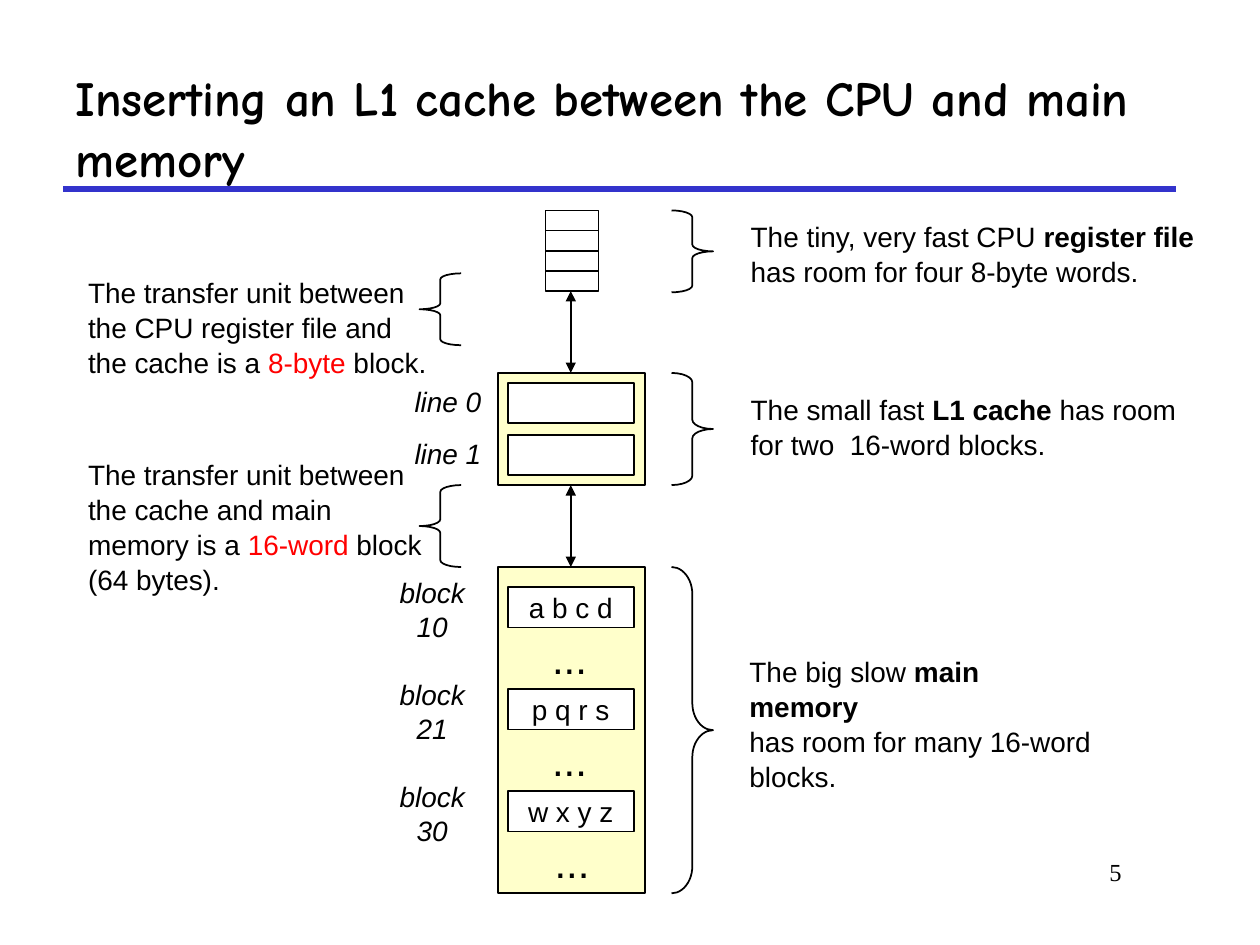
"""Build a slide on inserting an L1 cache between the CPU and main memory."""
import pptx
import pptx.dml.color
import pptx.enum.shapes
import pptx.enum.text
import pptx.oxml
import pptx.oxml.ns
import pptx.util

Inches = pptx.util.Inches
Pt = pptx.util.Pt
SHAPES = pptx.enum.shapes.MSO_SHAPE
ALIGN = pptx.enum.text.PP_ALIGN
ANCHOR = pptx.enum.text.MSO_ANCHOR
COLORS = {"ink": "000000", "rule": "3333CC", "store": "FFFF99", "cell": "FFFFFF", "accent": "FF0000"}
AXIS = 4.53
BLOCK_STEP = 0.81

NOTES = [
    (5.86, 1.69, 3.8, 0.64, [
        [("The tiny, very fast CPU ", ""), ("register file", "bold")],
        [("has room for four 8-byte words.", "")]]),
    (5.86, 3.06, 3.6, 0.64, [
        [("The small fast ", ""), ("L1 cache ", "bold"), ("has room", "")],
        [("for two  16-word blocks.", "")]]),
    (5.85, 5.29, 2.94, 0.9, [
        [("The big slow ", ""), ("main memory", "bold")],
        [("has room for many 16-word", "")],
        [("blocks.", "")]]),
    (0.6, 2.14, 2.95, 0.9, [
        [("The transfer unit between", "")],
        [("the CPU register file and", "")],
        [("the cache is a ", ""), ("8-byte", "accent"), (" block.", "")]]),
    (0.6, 3.59, 2.95, 1.17, [
        [("The transfer unit between", "")],
        [("the cache and main", "")],
        [("memory is a ", ""), ("16-word", "accent"), (" block", "")],
        [("(64 bytes).", "")]]),
]


def rgb(name):
    """Return the named colour."""
    return pptx.dml.color.RGBColor.from_string(COLORS[name])


def style_font(font, size, name="Arial", color="ink", bold=False, italic=False):
    """Set all the font properties of a run."""
    font.size, font.name, font.bold, font.italic = Pt(size), name, bold, italic
    font.color.rgb = rgb(color)


def write_line(frame, text, size, align=ALIGN.CENTER, anchor=ANCHOR.MIDDLE, wrap=False, **style):
    """Put one formatted paragraph in a text frame."""
    frame.text = text
    frame.word_wrap, frame.vertical_anchor = wrap, anchor
    para = frame.paragraphs[0]
    para.alignment = align
    style_font(para.runs[0].font, size, **style)
    return para


def add_label(page, left, top, width, height, text, size, **style):
    """Add a text box with one line of text."""
    box = page.shapes.add_textbox(Inches(left), Inches(top), Inches(width), Inches(height))
    return write_line(box.text_frame, text, size, **style)


def add_note(page, left, top, width, height, lines):
    """Add an explanation whose lines hold plain, bold or accented spans."""
    box = page.shapes.add_textbox(Inches(left), Inches(top), Inches(width), Inches(height))
    frame = box.text_frame
    frame.word_wrap, frame.vertical_anchor = True, ANCHOR.MIDDLE
    for index, spans in enumerate(lines):
        para = frame.add_paragraph() if index else frame.paragraphs[0]
        para.line_spacing = 1.04
        for text, kind in spans:
            span = para.add_run()
            span.text = text
            style_font(span.font, 16, color="accent" if kind == "accent" else "ink", bold=kind == "bold")


def add_outline(page, kind, left, top, width, height, fill=None):
    """Add a thinly outlined preset shape, hollow unless a fill is given."""
    shape = page.shapes.add_shape(kind, Inches(left), Inches(top), Inches(width), Inches(height))
    shape.shadow.inherit = False
    shape.line.color.rgb, shape.line.width = rgb("ink"), Pt(1)
    if fill:
        shape.fill.solid()
        shape.fill.fore_color.rgb = rgb(fill)
    else:
        shape.fill.background()
    return shape


def add_store(page, top, height):
    """Add the half-transparent body of a memory level."""
    store = add_outline(page, SHAPES.RECTANGLE, 3.95, top, 1.17, height, "store")
    color = store.fill._xPr.find(".//" + pptx.oxml.ns.qn("a:srgbClr"))
    color.append(pptx.oxml.parse_xml(f'<a:alpha {pptx.oxml.ns.nsdecls("a")} val="50000"/>'))


def add_cell(page, top, text=""):
    """Add a white storage cell, with its content if there is any."""
    cell = add_outline(page, SHAPES.RECTANGLE, 4.03, top, 1, 0.32, "cell")
    if text:
        write_line(cell.text_frame, text, 16)


def add_brace(page, kind, left, top, height):
    """Add a brace whose curves scale with its height."""
    width = 0.33
    brace = add_outline(page, kind, left, top, width, height)
    brace.adjustments[0] = height / 12 / width


def add_line(page, start, end, color, width, arrows=False):
    """Add a straight line, with an arrowhead at both ends if asked."""
    line = page.shapes.add_connector(
        pptx.enum.shapes.MSO_CONNECTOR.STRAIGHT, *[Inches(value) for value in (*start, *end)])
    line.line.color.rgb, line.line.width = rgb(color), Pt(width)
    namespace = pptx.oxml.ns.nsdecls("a")
    if arrows:
        for end_tag in ("headEnd", "tailEnd"):
            line.line._get_or_add_ln().append(
                pptx.oxml.parse_xml(f'<a:{end_tag} {namespace} type="triangle"/>'))
    line._element.spPr.append(pptx.oxml.parse_xml(f"<a:effectLst {namespace}/>"))


def add_registers(page):
    """Add the four words of the register file."""
    for index in range(4):
        add_outline(page, SHAPES.RECTANGLE, 4.33, 1.67 + 0.16 * index, 0.42, 0.16)


def add_cache(page):
    """Add the cache with its two labelled lines."""
    add_store(page, 2.96, 0.89)
    for index in range(2):
        offset = 0.41 * index
        add_cell(page, 3.04 + offset)
        add_label(page, 3.19, 3 + offset, 0.73, 0.37, f"line {index}", 16, italic=True)


def add_memory(page):
    """Add main memory with its labelled blocks and the gaps between them."""
    add_store(page, 4.5, 2.59)
    blocks = [("block 10", "a b c d"), ("block 21", "p q r s"), ("block 30", "w x y z")]
    for index, (name, words) in enumerate(blocks):
        offset = BLOCK_STEP * index
        add_cell(page, 4.66 + offset, words)
        add_label(page, 2.92, 4.65 + offset, 1.02, 0.37, name, 16, italic=True)
        dots_left = 4.3 if index == 2 else 4.28
        add_label(page, dots_left, 4.97 + offset, 0.48, 0.5, "...", 24)


def main():
    """Build and save the slide."""
    deck = pptx.Presentation()
    deck.slide_width, deck.slide_height = Inches(10), Inches(7.5)
    page = deck.slides.add_slide(deck.slide_layouts[6])
    add_line(page, (0.5, 1.5), (9.33, 1.5), "rule", 3)
    title = add_label(page, 0.5, 0.5, 8.83, 1, "Inserting an L1 cache between the CPU and main memory", 28,
                      align=ALIGN.LEFT, wrap=True, name="Comic Neue", bold=True)
    title.line_spacing = 1.04
    add_label(page, 7.58, 6.75, 1.42, 0.5, "5", 14, align=ALIGN.RIGHT, anchor=ANCHOR.TOP,
              wrap=True, name="Times New Roman")
    add_registers(page)
    add_cache(page)
    add_memory(page)
    for top, bottom in [(2.31, 2.96), (3.85, 4.5)]:
        add_line(page, (AXIS, top), (AXIS, bottom), "ink", 1, arrows=True)
    for top, height in [(1.67, 0.65), (2.96, 0.89), (4.5, 2.59)]:
        add_brace(page, SHAPES.RIGHT_BRACE, 5.33, top, height)
    for top, height in [(2.17, 0.57), (3.85, 0.65)]:
        add_brace(page, SHAPES.LEFT_BRACE, 3.33, top, height)
    for note in NOTES:
        add_note(page, *note)
    deck.save("out.pptx")


if __name__ == "__main__":
    main()
